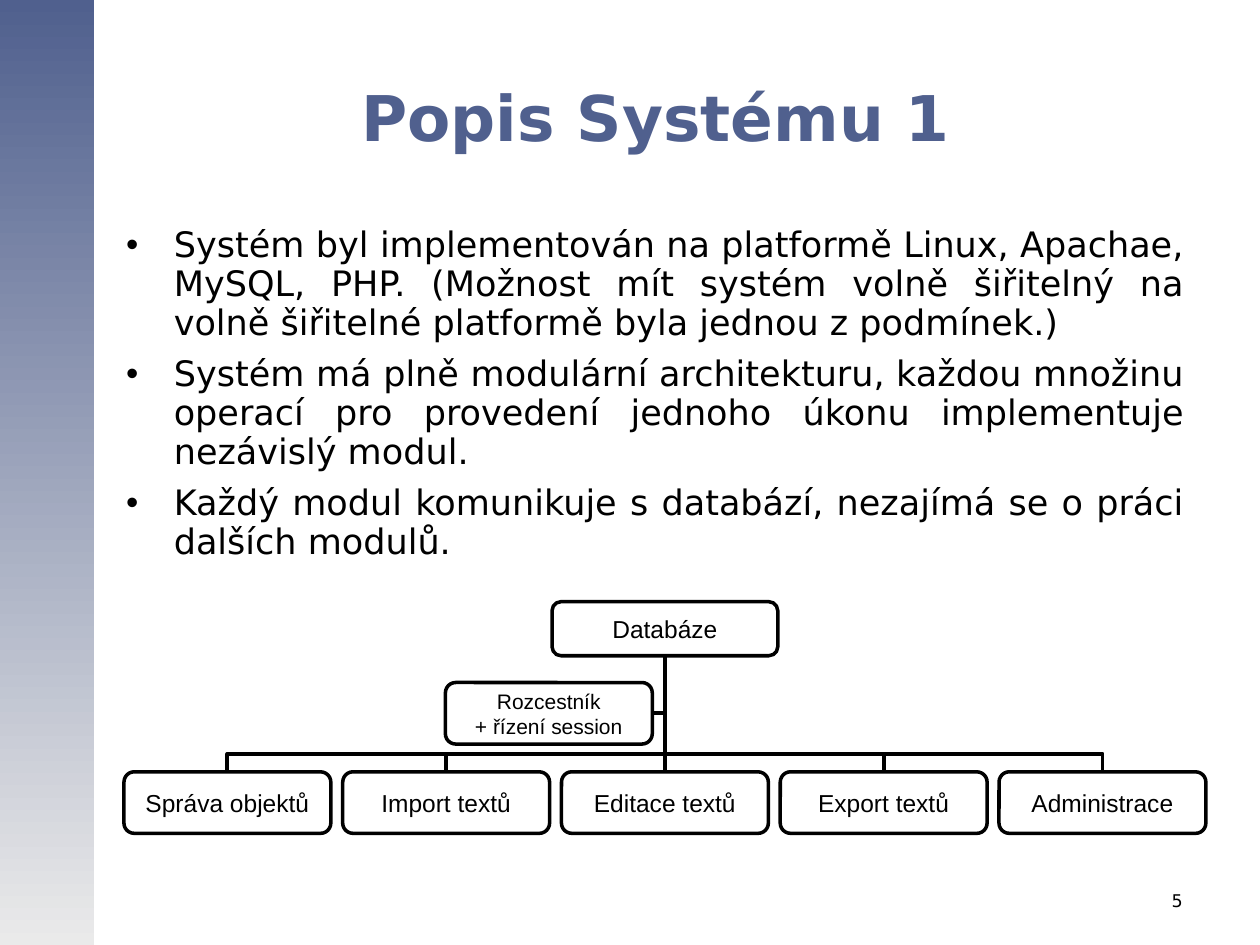
import pptx
import pptx.dml.color
import pptx.enum.shapes
import pptx.enum.text
import pptx.oxml
import pptx.oxml.ns
import pptx.util
from pptx.enum.shapes import MSO_CONNECTOR, MSO_SHAPE
from pptx.enum.text import MSO_ANCHOR, MSO_AUTO_SIZE, PP_ALIGN

Cm = pptx.util.Cm
Pt = pptx.util.Pt
RGBColor = pptx.dml.color.RGBColor

BLUE = RGBColor(0x50, 0x60, 0x8E)
PALE = RGBColor(0xEA, 0xEA, 0xEA)
BLACK = RGBColor(0, 0, 0)
WHITE = RGBColor(255, 255, 255)

HEADING = "Popis Systému 1"
POINTS = [
    "Systém byl implementován na platformě Linux, Apachae, MySQL, PHP. "
    "(Možnost mít systém volně šiřitelný na volně šiřitelné platformě byla jednou z podmínek.)",
    "Systém má plně modulární architekturu, každou množinu operací "
    "pro provedení jednoho úkonu implementuje nezávislý modul.",
    "Každý modul komunikuje s databází, nezajímá se o práci dalších modulů.",
]
DATABASE = "Databáze"
SESSION = "Rozcestník\n+ řízení session"
MODULES = ["Správa objektů", "Import textů", "Editace textů", "Export textů", "Administrace"]
PAGE = "5"

MODULE_LEFT, MODULE_TOP, MODULE_PITCH = 2.5, 15.56, 4.41
MODULE_WIDTH, MODULE_HEIGHT = 4.17, 1.24
DATABASE_TOP, DATABASE_WIDTH, DATABASE_HEIGHT = 12.13, 4.55, 1.09
SESSION_LEFT, SESSION_TOP = 8.98, 13.76
BUS_Y = 15.2


def place(shape, left, top, width, height):
    shape.left, shape.top, shape.width, shape.height = map(Cm, (left, top, width, height))


def style_text(frame, size, align, font_name, color=BLACK, bold=False):
    for paragraph in frame.paragraphs:
        paragraph.alignment = align
        for run in paragraph.runs:
            run.font.size = Pt(size)
            run.font.name = font_name
            run.font.bold = bold
            run.font.color.rgb = color


def add_bullet(paragraph):
    properties = paragraph._p.get_or_add_pPr()
    properties.set("marL", str(Cm(0.96)))
    properties.set("indent", str(-Cm(0.96)))
    namespace = pptx.oxml.ns.nsdecls("a")
    for xml in (
        f'<a:buClr {namespace}><a:srgbClr val="{BLACK}"/></a:buClr>',
        f'<a:buFont {namespace} typeface="Arial"/>',
        f'<a:buChar {namespace} char="•"/>',
    ):
        properties.append(pptx.oxml.parse_xml(xml))


def add_elbow(shapes, x1, y1, x2, y2):
    elbow = shapes.add_connector(MSO_CONNECTOR.ELBOW, Cm(x1), Cm(y1), Cm(x2), Cm(y2))
    elbow.line.color.rgb = BLACK
    elbow.line.width = Pt(2.25)
    effects = f'<a:effectLst {pptx.oxml.ns.nsdecls("a")}/>'
    elbow._element.spPr.append(pptx.oxml.parse_xml(effects))
    return elbow


def add_corner(shapes, x1, y1, x2, y2):
    corner = add_elbow(shapes, x1, y1, x2, y2)
    corner._element.spPr.find(pptx.oxml.ns.qn("a:prstGeom")).set("prst", "bentConnector2")


def add_branch(shapes, x1, y1, x2, y2, bend_y):
    branch = add_elbow(shapes, x1, y1, x2, y2)
    width, height = y1 - y2, abs(x2 - x1)
    place(branch, (x1 + x2 - width) / 2, (y1 + y2 - height) / 2, width, height)
    properties = branch._element.spPr
    turn = properties.find(pptx.oxml.ns.qn("a:xfrm"))
    from_left = x1 < x2
    turn.set("rot", str((90 if from_left else 270) * 60000))
    turn.set("flipH", "1" if from_left else "0")
    turn.set("flipV", "1")
    bend = round((y1 - bend_y) / width * 100000)
    guide = f'<a:gd {pptx.oxml.ns.nsdecls("a")} name="adj1" fmla="val {bend}"/>'
    adjustments = properties.find(".//" + pptx.oxml.ns.qn("a:avLst"))
    adjustments.append(pptx.oxml.parse_xml(guide))


def add_box(shapes, label, size, left, top, width, height):
    box = shapes.add_shape(MSO_SHAPE.ROUNDED_RECTANGLE, *map(Cm, (left, top, width, height)))
    box.shadow.inherit = False
    box.fill.solid()
    box.fill.fore_color.rgb = WHITE
    box.line.color.rgb = BLACK
    box.line.width = Pt(2)
    frame = box.text_frame
    frame.text = label
    frame.word_wrap = False
    frame.vertical_anchor = MSO_ANCHOR.MIDDLE
    frame.margin_left = frame.margin_right = Cm(0.05)
    frame.margin_top = frame.margin_bottom = Cm(0.03)
    style_text(frame, size, PP_ALIGN.CENTER, "Arial")


def add_diagram(shapes):
    lefts = [MODULE_LEFT + i * MODULE_PITCH for i in range(len(MODULES))]
    centers = [left + MODULE_WIDTH / 2 for left in lefts]
    middle = len(MODULES) // 2
    trunk_x = centers[middle]
    trunk_top = DATABASE_TOP + DATABASE_HEIGHT
    session_y = SESSION_TOP + MODULE_HEIGHT / 2
    add_corner(shapes, SESSION_LEFT + MODULE_WIDTH, session_y, trunk_x, trunk_top)
    add_corner(shapes, trunk_x, MODULE_TOP, trunk_x, trunk_top)
    for center in centers[:middle] + centers[middle + 1:]:
        add_branch(shapes, center, MODULE_TOP, trunk_x, trunk_top, BUS_Y)

    add_box(shapes, DATABASE, 14, trunk_x - DATABASE_WIDTH / 2, DATABASE_TOP,
            DATABASE_WIDTH, DATABASE_HEIGHT)
    add_box(shapes, SESSION, 12, SESSION_LEFT, SESSION_TOP, MODULE_WIDTH, MODULE_HEIGHT)
    for module, left in zip(MODULES, lefts):
        add_box(shapes, module, 14, left, MODULE_TOP, MODULE_WIDTH, MODULE_HEIGHT)


def main():
    deck = pptx.Presentation()
    deck.slide_width, deck.slide_height = Cm(25.4), Cm(19.05)
    slide = deck.slides.add_slide(deck.slide_layouts[1])
    shapes = slide.shapes

    sidebar = shapes.add_shape(MSO_SHAPE.RECTANGLE, 0, 0, Cm(1.9), deck.slide_height)
    sidebar.shadow.inherit = False
    sidebar.line.fill.background()
    sidebar.fill.gradient()
    sidebar.fill.gradient_angle = 270
    for stop, color, position in zip(sidebar.fill.gradient_stops, (BLUE, PALE), (0, 1)):
        stop.color.rgb = color
        stop.position = position

    heading = shapes.title
    place(heading, 2.29, 0.76, 21.86, 3.18)
    heading.text_frame.text = HEADING
    heading.text_frame.auto_size = MSO_AUTO_SIZE.NONE
    heading.text_frame.vertical_anchor = MSO_ANCHOR.MIDDLE
    style_text(heading.text_frame, 36, PP_ALIGN.CENTER, "DejaVu Sans", BLUE, True)

    points = slide.placeholders[1]
    place(points, 2.29, 4.45, 21.84, 7.67)
    points.text_frame.text = "\n".join(POINTS)
    points.text_frame.auto_size = MSO_AUTO_SIZE.NONE
    for index, paragraph in enumerate(points.text_frame.paragraphs):
        add_bullet(paragraph)
        paragraph.line_spacing = 0.92
        paragraph.space_before = Pt(3.7 if index else 0)
        paragraph.space_after = Pt(3.7)
    style_text(points.text_frame, 20, PP_ALIGN.JUSTIFY, "DejaVu Sans")

    add_diagram(shapes)

    page = shapes.add_textbox(Cm(18.17), Cm(17.81), Cm(5.92), Cm(1.32))
    page.text_frame.word_wrap = True
    page.text_frame.text = PAGE
    style_text(page.text_frame, 10, PP_ALIGN.RIGHT, "DejaVu Sans")

    deck.save("out.pptx")


if __name__ == "__main__":
    main()
